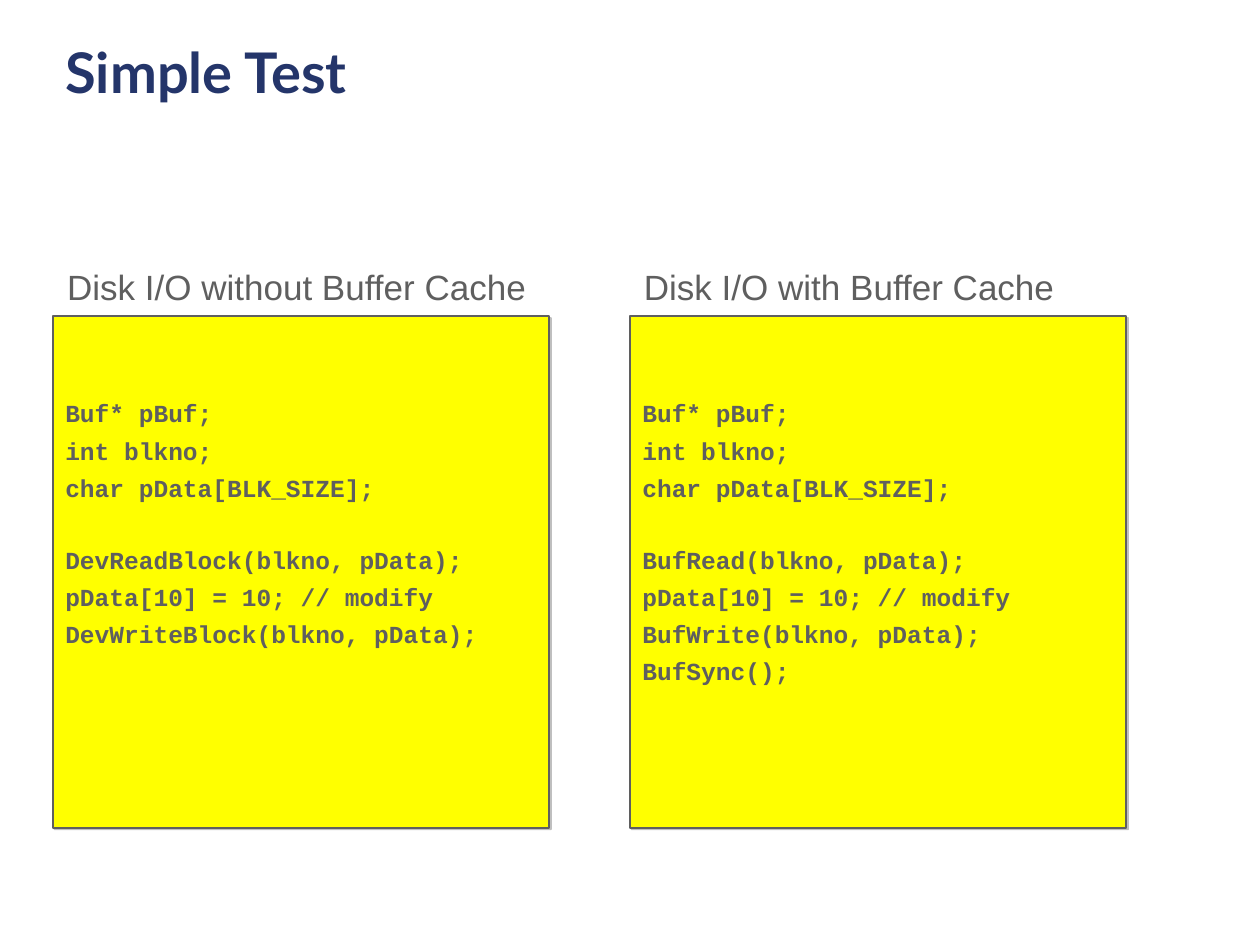
from lxml.etree import SubElement as Sub
from pptx import Presentation
from pptx.dml.color import RGBColor
from pptx.enum.shapes import MSO_SHAPE as Kind
from pptx.enum.text import MSO_ANCHOR as Anchor, PP_ALIGN as Align
from pptx.oxml.ns import qn
from pptx.util import Pt

NAVY = RGBColor(0x24, 0x35, 0x6A)
GRAY = RGBColor(0x5F, 0x5F, 0x5F)
YELLOW = RGBColor(0xFF, 0xFF, 0x00)

TITLE = "Simple Test"
SETUP = ["Buf* pBuf;", "int blkno;", "char pData[BLK_SIZE];"]
MODIFY = "pData[10] = 10; // modify"
PANELS = [
    ("Disk I/O without Buffer Cache", 30.24, 30.96, 277.2, [
        SETUP,
        ["DevReadBlock(blkno, pData);", MODIFY,
         "DevWriteBlock(blkno, pData);"],
    ]),
    ("Disk I/O with Buffer Cache", 360, 360.72, 249.12, [
        SETUP,
        ["BufRead(blkno, pData);", MODIFY,
         "BufWrite(blkno, pData);", "BufSync();"],
    ]),
]
TOP, WIDTH, HEIGHT = 180.72, 283.68, 292.32
LABEL_TOP, LABEL_HEIGHT = 148.32, 31.68
INSET = 47
GAP, BREAK = 4.4, 24.6


def write(para, text, font, size, color, bold=False):
    run = para.add_run()
    run.text = text
    run.font.name = font
    run.font.size = Pt(size)
    run.font.bold = bold
    run.font.color.rgb = color


def add_text(slide, x, y, w, h, wrap):
    box = slide.shapes.add_textbox(Pt(x), Pt(y), Pt(w), Pt(h))
    box.text_frame.word_wrap = wrap
    return box.text_frame.paragraphs[0]


def add_shadow(shape):
    effects = Sub(shape._element.spPr, qn("a:effectLst"))
    shadow = Sub(effects, qn("a:outerShdw"), blurRad="0",
                 dist=str(Pt(1.4)), dir="2700000", algn="ctr",
                 rotWithShape="0")
    color = Sub(shadow, qn("a:srgbClr"), val="808080")
    Sub(color, qn("a:alpha"), val="50000")


def add_code(slide, x, groups):
    box = slide.shapes.add_shape(
        Kind.RECTANGLE, Pt(x), Pt(TOP), Pt(WIDTH), Pt(HEIGHT))
    box.fill.solid()
    box.fill.fore_color.rgb = YELLOW
    box.line.color.rgb = GRAY
    box.line.width = Pt(1)
    add_shadow(box)
    frame = box.text_frame
    frame.word_wrap = True
    frame.vertical_anchor = Anchor.TOP
    frame.margin_top = Pt(INSET)
    para = frame.paragraphs[0]
    for g, group in enumerate(groups):
        for i, line in enumerate(group):
            if g or i:
                para = frame.add_paragraph()
                para.space_before = Pt(GAP if i else BREAK)
            para.alignment = Align.LEFT
            write(para, line, "Courier New", 14, GRAY, True)


def main():
    deck = Presentation()
    deck.slide_width, deck.slide_height = Pt(720), Pt(540)
    slide = deck.slides.add_slide(deck.slide_layouts[6])
    title = add_text(slide, 30.24, 18, 650.16, 87.84, True)
    write(title, TITLE, "Lato", 32, NAVY, True)
    for label, x, left, width, groups in PANELS:
        add_code(slide, x, groups)
        para = add_text(slide, left, LABEL_TOP, width, LABEL_HEIGHT, False)
        para.alignment = Align.CENTER
        write(para, label, "Arial", 20, GRAY)
    deck.save("out.pptx")


if __name__ == "__main__":
    main()
